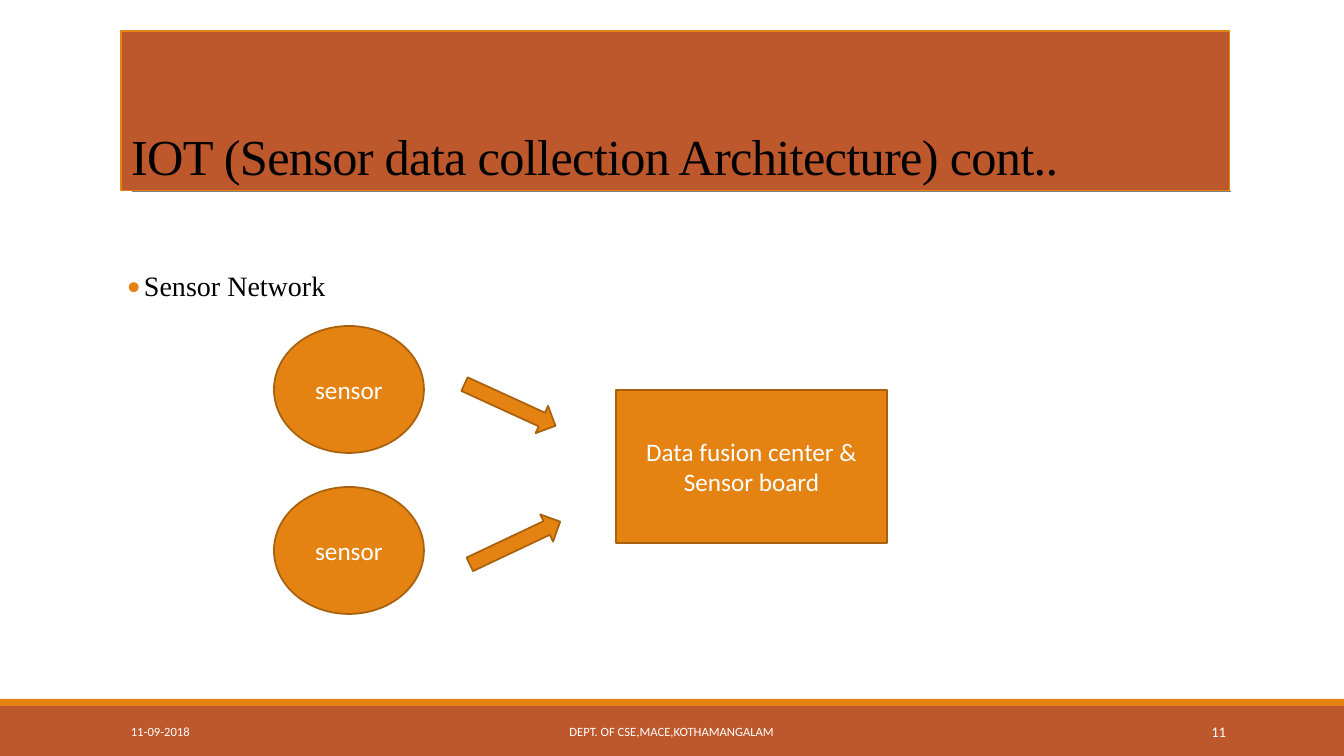
from lxml.etree import SubElement as Sub
from pptx import Presentation
from pptx.dml.color import RGBColor as RGB
from pptx.enum.shapes import MSO_CONNECTOR as LINK, MSO_SHAPE as SHAPE
from pptx.enum.text import MSO_ANCHOR as ANCHOR, MSO_AUTO_SIZE as FIT, PP_ALIGN as ALIGN
from pptx.oxml.ns import qn
from pptx.util import Emu, Pt

RUST = RGB(0xBD, 0x58, 0x2C)
AMBER = RGB(0xE4, 0x83, 0x12)
BROWN = RGB(0xA9, 0x61, 0x0D)
GREY = RGB(0x80, 0x80, 0x80)
BLACK = RGB(0, 0, 0)
WHITE = RGB(255, 255, 255)
SERIF, SANS = "Times New Roman", "Calibri"

# Content: boxes are left, top, width, height in px
TITLE = "IOT (Sensor data collection Architecture) cont.."
TITLE_BOX = (121, 31, 1109, 160)
POINT = "Sensor Network"
POINT_BOX = (127, 267, 1109, 395)
INDENT = 17
BANDS = [((0, 706, 1344, 50), RUST), ((0, 699, 1344, 7), AMBER)]
RULE = (132, 191, 1231, 191)
FOOT = [
    ("11-09-2018", 121, 272, 9, ALIGN.LEFT),
    ("DEPT. OF CSE,MACE,KOTHAMANGALAM", 406, 531, 9, ALIGN.CENTER),
    ("11", 1092, 144, 10.5, ALIGN.RIGHT),
]
FOOT_TOP, FOOT_TALL = 712, 40
NODES = [
    (SHAPE.OVAL, (274, 326, 150, 127), "sensor"),
    (SHAPE.OVAL, (274, 487, 150, 127), "sensor"),
    (SHAPE.RECTANGLE, (616, 390, 271, 153), "Data fusion center &\nSensor board"),
]
ARROWS = [((460, 390, 100, 30), 24.6), ((465, 528, 100, 30), 334.7)]


def px(n):
    return Emu(round(n * 914400 / 100.8))


def place(item, box):
    item.left, item.top, item.width, item.height = map(px, box)


def paint(item, fill, edge=None, size=1.25):
    item.fill.solid()
    item.fill.fore_color.rgb = fill
    if edge is None:
        item.line.fill.background()
    else:
        item.line.color.rgb = edge
        item.line.width = Pt(size)


def write(item, text, size, color, font=SANS, align=ALIGN.LEFT, anchor=ANCHOR.MIDDLE):
    frame = item.text_frame
    frame.text = text
    frame.word_wrap = True
    frame.auto_size = FIT.NONE
    frame.vertical_anchor = anchor
    for para in frame.paragraphs:
        para.alignment = align
        for run in para.runs:
            run.font.name = font
            run.font.size = Pt(size)
            run.font.color.rgb = color
    return frame


def draw(slide, kind, box, fill, edge=None):
    item = slide.shapes.add_shape(kind, *map(px, box))
    item.shadow.inherit = False
    paint(item, fill, edge)
    return item


def main():
    deck = Presentation()
    deck.slide_width, deck.slide_height = px(1344), px(756)
    slide = deck.slides.add_slide(deck.slide_layouts[1])
    title, body = slide.placeholders

    # Title
    place(title, TITLE_BOX)
    paint(title, RUST, AMBER, 0.75)
    para = write(title, TITLE, 36, BLACK, SERIF, anchor=ANCHOR.BOTTOM).paragraphs[0]
    para.line_spacing = 0.85
    para.runs[0].font._element.set("spc", "-50")

    # Bullet point
    place(body, POINT_BOX)
    frame = write(body, POINT, 20, BLACK, SERIF, anchor=ANCHOR.TOP)
    frame.margin_left = frame.margin_right = 0
    para = frame.paragraphs[0]
    para.line_spacing = 0.9
    para.space_before, para.space_after = Pt(0), Pt(2)
    props = para._p.get_or_add_pPr()
    props.set("marL", str(px(INDENT)))
    props.set("indent", str(-px(INDENT)))
    Sub(Sub(props, qn("a:buClr")), qn("a:srgbClr"), val=str(AMBER))
    Sub(props, qn("a:buFont"), typeface=SANS)
    Sub(props, qn("a:buChar"), char="•")

    # Footer bands and the rule under the title
    for box, fill in BANDS:
        draw(slide, SHAPE.RECTANGLE, box, fill)
    rule = slide.shapes.add_connector(LINK.STRAIGHT, *map(px, RULE))
    rule.line.color.rgb = GREY
    rule.line.width = Pt(0.5)
    Sub(rule._element.spPr, qn("a:effectLst"))
    tree = slide.shapes._spTree
    tree.remove(rule._element)
    tree.insert(2, rule._element)

    # Footer text
    for text, left, wide, size, align in FOOT:
        box = slide.shapes.add_textbox(*map(px, (left, FOOT_TOP, wide, FOOT_TALL)))
        write(box, text, size, WHITE, align=align)

    # Sensor diagram
    for kind, box, text in NODES:
        node = draw(slide, kind, box, AMBER, BROWN)
        write(node, text, 18, WHITE, align=ALIGN.CENTER)
    for box, turn in ARROWS:
        draw(slide, SHAPE.RIGHT_ARROW, box, AMBER, BROWN).rotation = turn

    deck.save("out.pptx")


if __name__ == "__main__":
    main()
